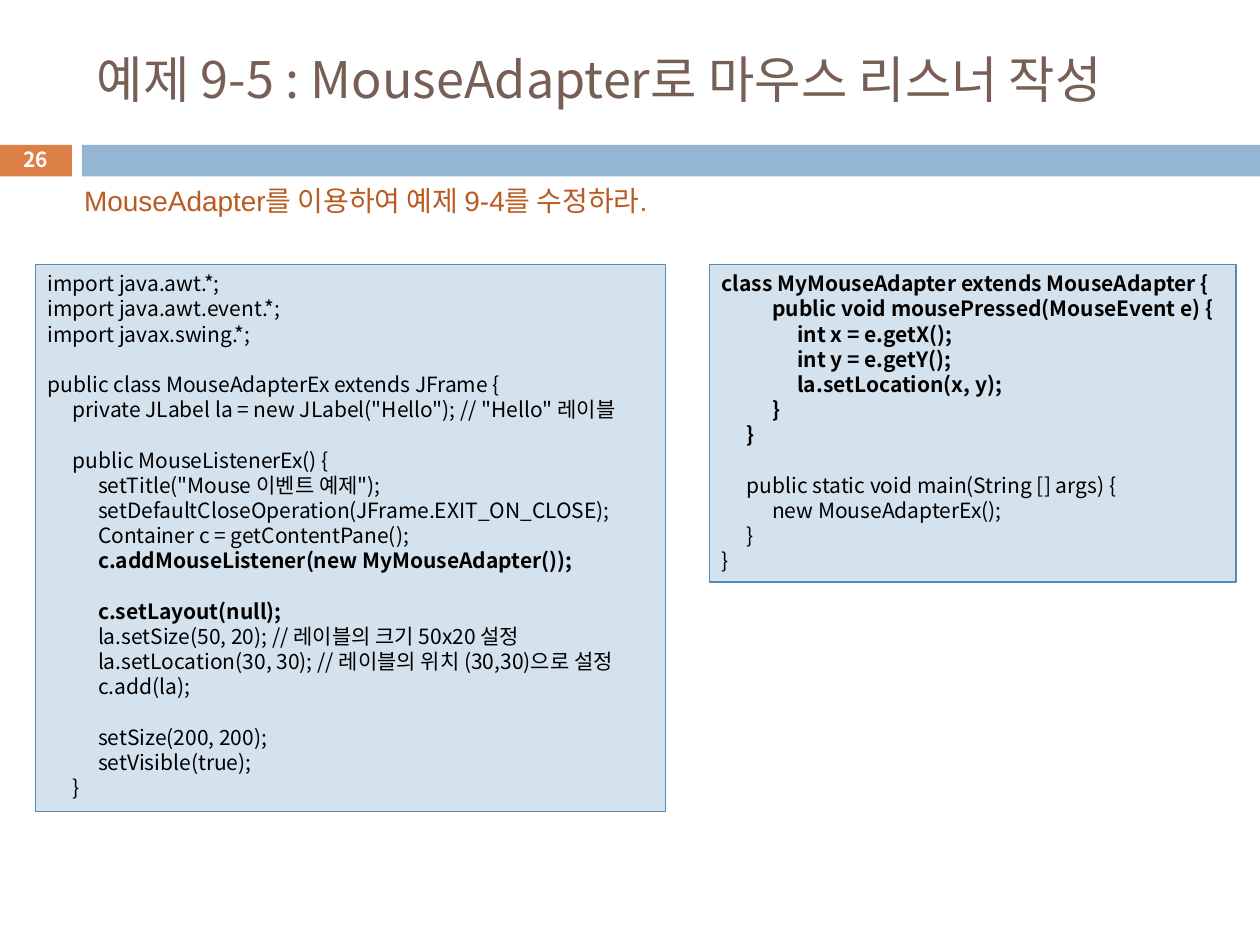
from lxml import etree
from pptx import Presentation
from pptx.dml.color import RGBColor
from pptx.enum.shapes import MSO_SHAPE
from pptx.enum.text import MSO_ANCHOR, PP_ALIGN
from pptx.oxml.ns import qn
from pptx.util import Inches, Pt

KOREAN_FONT = "Noto Sans CJK KR"
TITLE = "예제 9-5 : MouseAdapter로 마우스 리스너 작성"
TASK = "MouseAdapter를 이용하여 예제 9-4를 수정하라."
PAGE = "26"

# Code parts: (bold, lines); four leading spaces make one indent level.
FRAME_CODE = [
    (False, """\
import java.awt.*;
import java.awt.event.*;
import javax.swing.*;

public class MouseAdapterEx extends JFrame {
    private JLabel la = new JLabel("Hello"); // "Hello" 레이블

    public MouseListenerEx() {
        setTitle("Mouse 이벤트 예제");
        setDefaultCloseOperation(JFrame.EXIT_ON_CLOSE);
        Container c = getContentPane();"""),
    (True, """\
        c.addMouseListener(new MyMouseAdapter());

        c.setLayout(null);"""),
    (False, """\
        la.setSize(50, 20); // 레이블의 크기 50x20 설정
        la.setLocation(30, 30); // 레이블의 위치 (30,30)으로 설정
        c.add(la);

        setSize(200, 200);
        setVisible(true);
    }"""),
]
ADAPTER_CODE = [
    (True, """\
class MyMouseAdapter extends MouseAdapter {
        public void mousePressed(MouseEvent e) {
            int x = e.getX();
            int y = e.getY();
            la.setLocation(x, y);
        }
    }
"""),
    (False, """\
    public static void main(String [] args) {
        new MouseAdapterEx();
    }
}"""),
]

CODE_TOP = 2.1
LINE_PITCH = 14.4
INDENT = 0.2
BAR_TOP, BAR_HEIGHT = 1.15, 0.25


def rgb(color):
    return RGBColor.from_string(color)


def add_rect(slide, box, fill, line=None):
    rect = slide.shapes.add_shape(MSO_SHAPE.RECTANGLE, *map(Inches, box))
    rect.shadow.inherit = False
    rect.fill.solid()
    rect.fill.fore_color.rgb = rgb(fill)
    if line:
        rect.line.color.rgb = rgb(line)
        rect.line.width = Pt(0.75)
    else:
        rect.line.fill.background()
    return rect


def write(paragraph, text, size, color, font=KOREAN_FONT, bold=False, align=PP_ALIGN.LEFT):
    paragraph.alignment = align
    run = paragraph.add_run()
    run.text = text
    run.font.name = font
    run.font.size = Pt(size)
    run.font.bold = bold
    run.font.color.rgb = rgb(color)
    east_asian = etree.SubElement(run.font._element, qn("a:ea"))
    east_asian.set("typeface", KOREAN_FONT)


def add_label(slide, box, text, anchor=MSO_ANCHOR.MIDDLE, **text_format):
    frame = slide.shapes.add_textbox(*map(Inches, box)).text_frame
    frame.word_wrap = True
    frame.vertical_anchor = anchor
    write(frame.paragraphs[0], text, **text_format)


def add_tab_stops(paragraph, count=3):
    tabs = etree.SubElement(paragraph._p.get_or_add_pPr(), qn("a:tabLst"))
    for level in range(1, count + 1):
        etree.SubElement(tabs, qn("a:tab"), pos=str(Inches(INDENT * level)), algn="l")


def add_code(slide, left, width, height, parts):
    box = (left, CODE_TOP, width, height)
    frame = add_rect(slide, box, "D4E2ED", line="558BB8").text_frame
    frame.word_wrap = True
    frame.vertical_anchor = MSO_ANCHOR.TOP
    lines = [(line, bold) for bold, code in parts for line in code.split("\n")]
    for number, (line, bold) in enumerate(lines):
        paragraph = frame.add_paragraph() if number else frame.paragraphs[0]
        add_tab_stops(paragraph)
        paragraph.line_spacing = Pt(LINE_PITCH)
        write(paragraph, line.replace("    ", "\t"), size=12, color="000000", bold=bold)


def main():
    deck = Presentation()
    deck.slide_width, deck.slide_height = Inches(10), Inches(7.5)
    slide = deck.slides.add_slide(deck.slide_layouts[6])

    add_rect(slide, (-0.01, BAR_TOP, 0.58, BAR_HEIGHT), "DD8047")
    add_rect(slide, (0.65, BAR_TOP, 9.35, BAR_HEIGHT), "94B6D2")
    add_label(slide, (0.67, 0.25, 8.92, 0.74), TITLE, size=28.8, color="775F55")
    add_label(slide, (-0.01, 1.13, 0.58, 0.27), PAGE, size=11.9, color="FFFFFF",
              bold=True, align=PP_ALIGN.CENTER)
    add_label(slide, (0.57, 1.41, 5.67, 0.37), TASK, anchor=MSO_ANCHOR.TOP,
              size=16, color="B95B22", font="Arial")
    add_code(slide, 5.63, 4.18, 2.52, ADAPTER_CODE)
    add_code(slide, 0.28, 5, 4.34, FRAME_CODE)

    deck.save("out.pptx")


if __name__ == "__main__":
    main()
